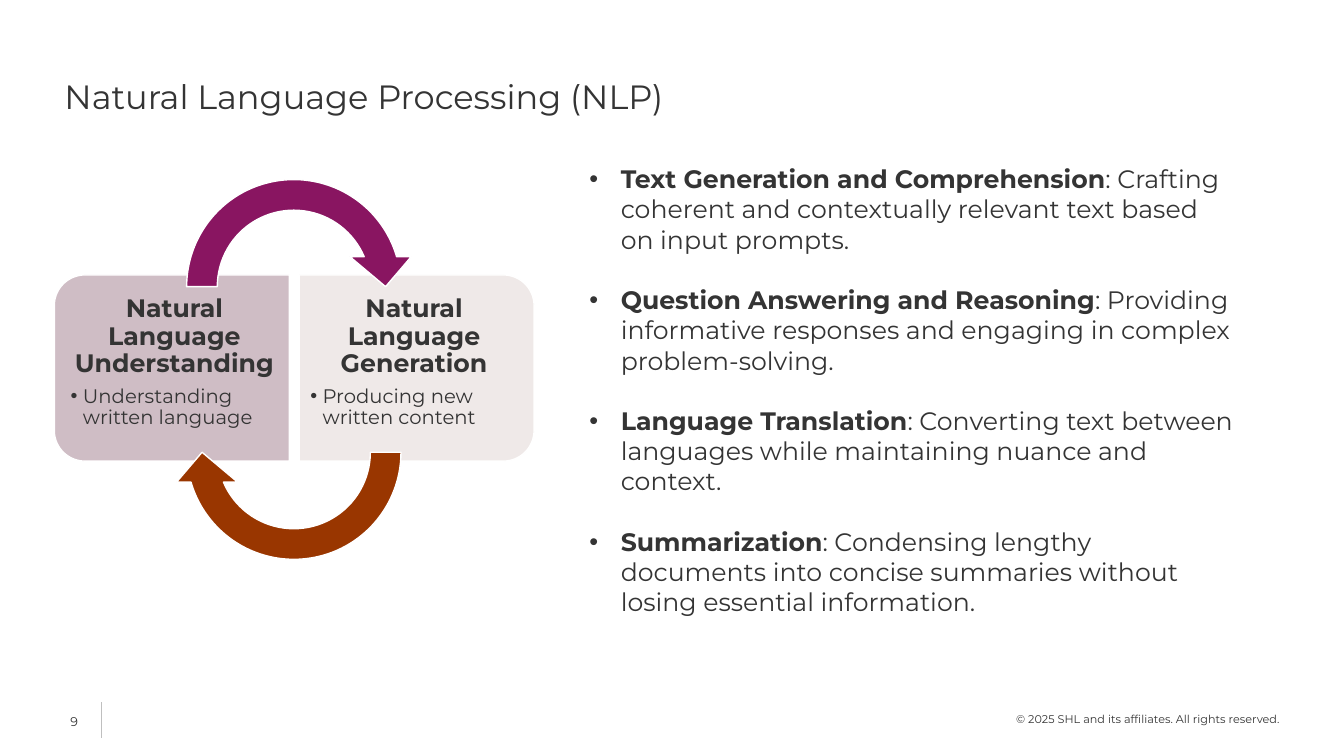
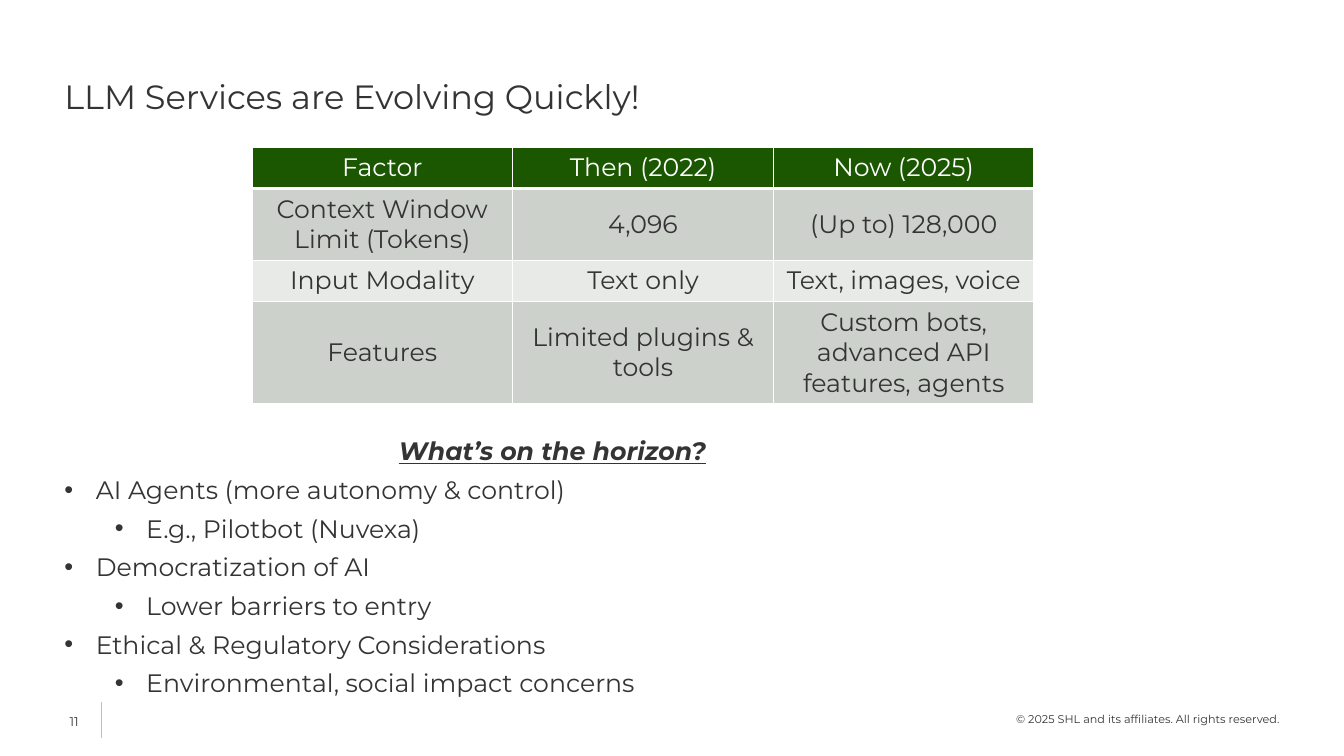
from dataclasses import dataclass
from math import cos, radians, sin
from typing import Any

from lxml import etree
from pptx import Presentation
from pptx.dml.color import RGBColor
from pptx.enum.shapes import MSO_CONNECTOR, MSO_SHAPE
from pptx.enum.text import MSO_ANCHOR, MSO_AUTO_SIZE, PP_ALIGN
from pptx.oxml.ns import qn
from pptx.util import Cm, Pt

LEFT, MID, RIGHT = PP_ALIGN.LEFT, PP_ALIGN.CENTER, PP_ALIGN.RIGHT
TOP, CENTER = MSO_ANCHOR.TOP, MSO_ANCHOR.MIDDLE
FIXED = MSO_AUTO_SIZE.NONE
ARROW = MSO_SHAPE.CIRCULAR_ARROW
LINE = MSO_CONNECTOR.STRAIGHT

FONT = "Montserrat"
HUES = {
    "ink": "343434",
    "white": "FFFFFF",
    "rule": "BFBFBF",
    "mauve": "CFBDC5",
    "blush": "EFE9E8",
    "plum": "891561",
    "rust": "993600",
    "green": "1B5700",
    "dark": "CDD1CC",
    "light": "E8EAE7",
}
RIGHTS = "© 2025 SHL and its affiliates. All rights reserved."
INDENT = 0.79
ARC = (0.125, 11.423, 204.577, 108, 0.125)


@dataclass(frozen=True)
class Box:
    left: float
    top: float
    width: float
    height: float


@dataclass(frozen=True)
class Card:
    box: Box
    hue: str
    head: str
    note: str
    flip: bool


@dataclass(frozen=True)
class Turn:
    box: Box
    hue: str
    angle: int


@dataclass(frozen=True)
class Point:
    text: str
    lead: str = ""
    level: int = 0


TITLE = Box(1.37, 1.57, 29.67, 1.4)
CARDS = (
    Card(Box(1.37, 6.93, 5.92, 4.69), "mauve", "Natural Language Understanding",
         "Understanding written language", True),
    Card(Box(7.54, 6.93, 5.92, 4.69), "blush", "Natural Language Generation",
         "Producing new written content", False),
)
TURNS = (
    Turn(Box(4.32, 4.14, 6.17, 6.17), "plum", 0),
    Turn(Box(4.32, 8.31, 6.17, 6.17), "rust", 180),
)
SKILLS = (
    Point(": Crafting coherent and contextually relevant text based on input prompts.",
          "Text Generation and Comprehension"),
    Point(": Providing informative responses and engaging in complex problem-solving.",
          "Question Answering and Reasoning"),
    Point(": Converting text between languages while maintaining nuance and context.",
          "Language Translation"),
    Point(": Condensing lengthy documents into concise summaries without losing "
          "essential information.", "Summarization"),
)
TRENDS = (
    Point("AI Agents (more autonomy & control)"),
    Point("E.g., Pilotbot (Nuvexa)", level=1),
    Point("Democratization of AI"),
    Point("Lower barriers to entry", level=1),
    Point("Ethical & Regulatory Considerations"),
    Point("Environmental, social impact concerns", level=1),
)
GRID = (
    ("Factor", "Then (2022)", "Now (2025)"),
    ("Context Window Limit (Tokens)", "4,096", "(Up to) 128,000"),
    ("Input Modality", "Text only", "Text, images, voice"),
    ("Features", "Limited plugins & tools", "Custom bots, advanced API features, agents"),
)
ROWS = (1.04, 1.81, 1.04, 2.57)
FILLS = ("green", "dark", "light", "dark")


def paint(hue: str) -> RGBColor:
    return RGBColor.from_string(HUES[hue])


def apply(item: Any, **values: Any) -> None:
    for name, value in values.items():
        setattr(item, name, value)


def span(box: Box) -> tuple[Cm, Cm, Cm, Cm]:
    return Cm(box.left), Cm(box.top), Cm(box.width), Cm(box.height)


def place(shape: Any, box: Box) -> None:
    left, top, width, height = span(box)
    apply(shape, left=left, top=top, width=width, height=height)


def write(para: Any, text: str, size: float, hue: str = "ink", **style: Any) -> None:
    run = para.add_run()
    run.text = text
    apply(run.font, **{"name": FONT, "size": Pt(size), "bold": False, **style})
    run.font.color.rgb = paint(hue)


def mark(para: Any, left: float, hang: float, sign: str = "•") -> None:
    props = para._p.get_or_add_pPr()
    props.set("marL", str(Cm(left)))
    props.set("indent", str(-Cm(hang)))
    if sign:
        etree.SubElement(props, qn("a:buFont")).set("typeface", "Arial")
        etree.SubElement(props, qn("a:buChar")).set("char", sign)
    else:
        etree.SubElement(props, qn("a:buNone"))


def line(frame: Any, first: bool, **style: Any) -> Any:
    para = frame.paragraphs[0] if first else frame.add_paragraph()
    apply(para, **{"alignment": LEFT, "space_before": Pt(0), **style})
    return para


def label(slide: Any, box: Box, text: str, size: float, align: Any, wrap: bool) -> None:
    frame = slide.shapes.add_textbox(*span(box)).text_frame
    frame.word_wrap = wrap
    write(line(frame, True, alignment=align), text, size)


def base(deck: Any, title: str, page: int, box: Box) -> tuple[Any, Any]:
    slide = deck.slides.add_slide(deck.slide_layouts[1])
    head, body = slide.shapes.title, slide.placeholders[1]
    for shape, area in ((head, TITLE), (body, box)):
        place(shape, area)
        apply(shape.text_frame, auto_size=FIXED, vertical_anchor=TOP, word_wrap=True)
    para = line(head.text_frame, True, line_spacing=1.2, space_after=Pt(12))
    write(para, title, 24)
    label(slide, Box(1.17, 17.86, 1.4, 0.64), str(page), 9, MID, True)
    label(slide, Box(25.27, 17.83, 7.24, 0.61), RIGHTS, 8, RIGHT, False)
    rule = slide.shapes.add_connector(LINE, Cm(2.57), Cm(17.7), Cm(2.57), Cm(18.59))
    rule.line.color.rgb = paint("rule")
    rule.line.width = Pt(0.75)
    etree.SubElement(rule._element.spPr, qn("a:effectLst"))
    return slide, body.text_frame


def list_points(frame: Any, points: tuple[Point, ...], gap: float, first: bool) -> None:
    for rank, point in enumerate(points):
        para = line(frame, first and rank == 0, level=point.level, space_after=Pt(gap))
        mark(para, INDENT + 1.27 * point.level, INDENT)
        if point.lead:
            write(para, point.lead, 18, bold=True)
        write(para, point.text, 18)


def coat(shape: Any, hue: str) -> None:
    shape.shadow.inherit = False
    shape.fill.solid()
    shape.fill.fore_color.rgb = paint(hue)
    shape.line.color.rgb = paint("white")
    shape.line.width = Pt(1)


def outline(box: Box, flip: bool, bend: float = 0.77) -> list[tuple[int, int]]:
    edge = box.width - bend
    spots = [(0.0, 0.0)]
    for start, mid in ((-90, bend), (0, box.height - bend)):
        for step in range(0, 91, 5):
            turn = radians(start + step)
            spots.append((edge + bend * cos(turn), mid + bend * sin(turn)))
    spots.append((0.0, box.height))
    return [(Cm(box.left + (box.width - x if flip else x)), Cm(box.top + y))
            for x, y in spots]


def draw_card(slide: Any, card: Card) -> None:
    spots = outline(card.box, card.flip)
    form = slide.shapes.build_freeform(*spots[0])
    form.add_line_segments(spots[1:], close=True)
    shape = form.convert_to_shape()
    coat(shape, card.hue)
    frame = shape.text_frame
    near, far = (0.41, 0.28) if card.flip else (0.28, 0.41)
    apply(frame, word_wrap=True, vertical_anchor=TOP, margin_left=Cm(near),
          margin_right=Cm(far), margin_top=Cm(0.53), margin_bottom=Cm(0.53))
    head = line(frame, True, alignment=MID, line_spacing=0.9, space_after=Pt(6.3))
    write(head, card.head, 18, bold=True)
    note = line(frame, False, level=1, line_spacing=0.9, space_after=Pt(2.1))
    mark(note, 0.31, 0.31)
    write(note, card.note, 14)


def draw_turn(slide: Any, turn: Turn) -> None:
    shape = slide.shapes.add_shape(ARROW, *span(turn.box))
    shape.rotation = turn.angle
    for rank, value in enumerate(ARC):
        shape.adjustments[rank] = value
    coat(shape, turn.hue)


def edge_cell(cell: Any, foot: float) -> None:
    props = cell._tc.get_or_add_tcPr()
    for side, width in (("L", 1), ("R", 1), ("T", 1), ("B", foot)):
        edge = etree.SubElement(props, qn(f"a:ln{side}"), w=str(Pt(width)))
        fill = etree.SubElement(edge, qn("a:solidFill"))
        etree.SubElement(fill, qn("a:srgbClr")).set("val", HUES["white"])


def draw_grid(slide: Any, box: Box) -> None:
    table = slide.shapes.add_table(len(GRID), len(GRID[0]), *span(box)).table
    for rank, texts in enumerate(GRID):
        table.rows[rank].height = Cm(ROWS[rank])
        top = rank == 0
        for file, text in enumerate(texts):
            cell = table.cell(rank, file)
            edge_cell(cell, 3 if top else 1)
            cell.fill.solid()
            cell.fill.fore_color.rgb = paint(FILLS[rank])
            cell.vertical_anchor = TOP if top else CENTER
            para = line(cell.text_frame, True, alignment=MID)
            write(para, text, 18, "white" if top else "ink")


def show_tasks(deck: Any) -> None:
    slide, frame = base(deck, "Natural Language Processing (NLP)", 9,
                        Box(14.6, 3.99, 16.81, 11.79))
    list_points(frame, SKILLS, 21.6, True)
    for card in CARDS:
        draw_card(slide, card)
    for turn in TURNS:
        draw_turn(slide, turn)


def show_trends(deck: Any) -> None:
    slide, frame = base(deck, "LLM Services are Evolving Quickly!", 11,
                        Box(1.37, 10.85, 25.1, 6.93))
    head = line(frame, True, alignment=MID, space_after=Pt(6))
    mark(head, 0, 0, "")
    write(head, "What’s on the horizon?", 18, bold=True, italic=True, underline=True)
    list_points(frame, TRENDS, 6, False)
    draw_grid(slide, Box(6.35, 3.71, 19.71, sum(ROWS)))


def main() -> None:
    deck = Presentation()
    apply(deck, slide_width=Cm(33.87), slide_height=Cm(19.05))
    show_tasks(deck)
    show_trends(deck)
    deck.save("out.pptx")


if __name__ == "__main__":
    main()
